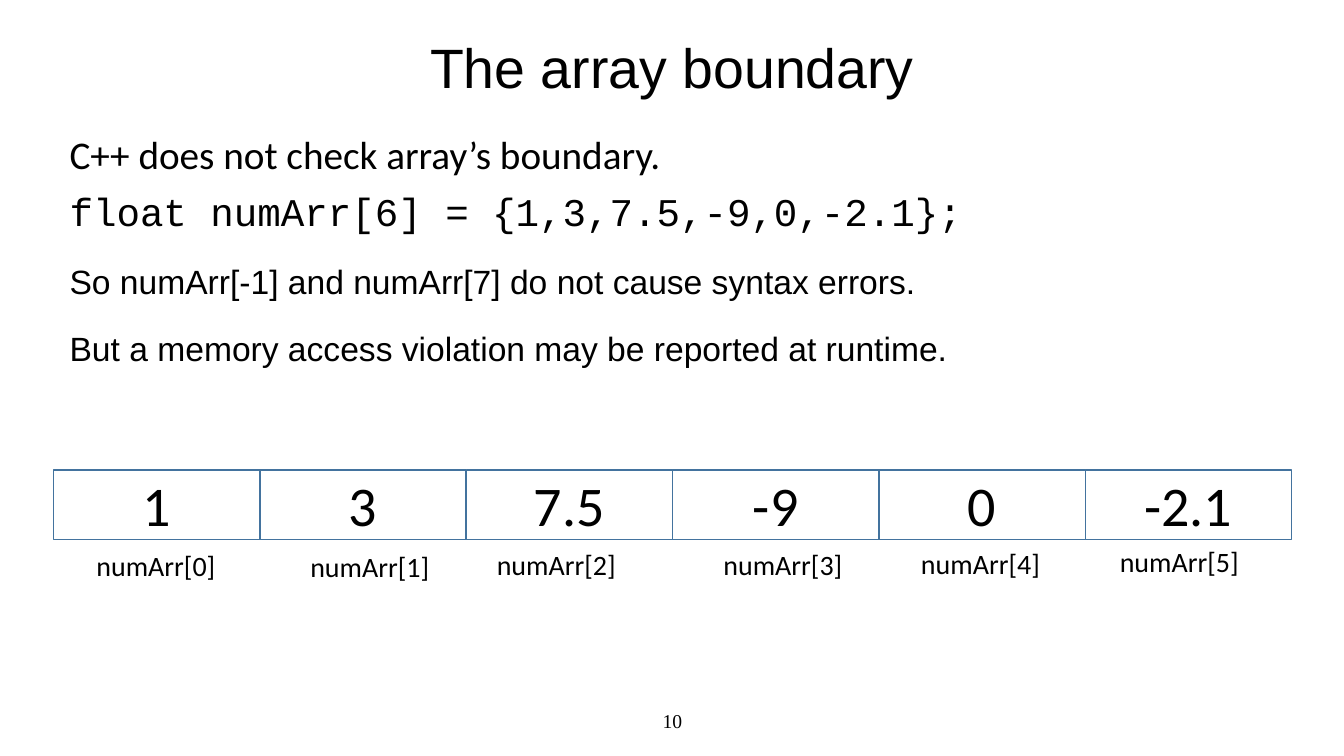
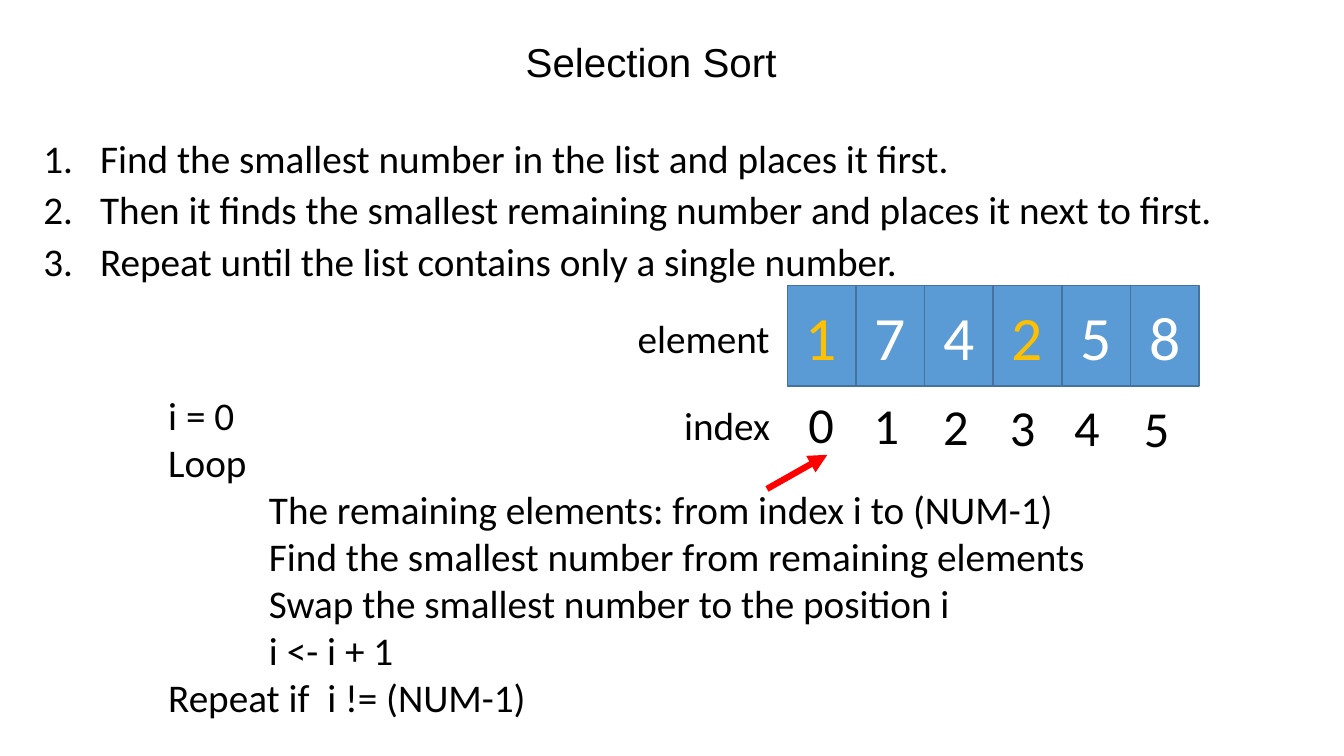
import pptx
import pptx.dml.color
import pptx.enum.shapes
import pptx.enum.text
import pptx.util
from lxml import etree

Cm = pptx.util.Cm
Pt = pptx.util.Pt
ALIGN = pptx.enum.text.PP_ALIGN
ANCHOR = pptx.enum.text.MSO_ANCHOR
RECTANGLE = pptx.enum.shapes.MSO_SHAPE.RECTANGLE
DRAWING = "{http://schemas.openxmlformats.org/drawingml/2006/main}"

BLACK, WHITE, GOLD = "000000", "FFFFFF", "FFC000"
CELL_BLUE, CELL_EDGE, ARROW_RED = "5B9BD5", "43739E", "FF0000"
CENTERED = {"alignment": ALIGN.CENTER}
TITLE = {"alignment": ALIGN.CENTER, "line_spacing": 0.9}


def colour(code):
    return pptx.dml.color.RGBColor.from_string(code)


def write(shape, box, lines, size, font="Calibri", ink=BLACK, anchor=ANCHOR.TOP, layout=None):
    """Place a shape at box (left, top, width, height in cm) and fill it.

    A line is a string, or a (string, overrides) pair where overrides may
    hold size, font and any paragraph attribute.
    """
    for name, length in zip(("left", "top", "width", "height"), box):
        setattr(shape, name, Cm(length))
    frame = shape.text_frame
    frame.word_wrap = True
    frame.auto_size = pptx.enum.text.MSO_AUTO_SIZE.NONE
    frame.vertical_anchor = anchor
    for number, line in enumerate(lines):
        text, overrides = (line, {}) if isinstance(line, str) else line
        paragraph = frame.paragraphs[0] if number == 0 else frame.add_paragraph()
        values = {"size": Pt(size), "name": font, "space_before": Pt(0),
                  **(layout or {}), **overrides}
        if number == 0:
            values["space_before"] = Pt(0)
        run = paragraph.add_run()
        run.text = text
        run.font.color.rgb = colour(ink)
        for name, value in values.items():
            setattr(run.font if name in ("size", "name") else paragraph, name, value)


presentation = pptx.Presentation()
presentation.slide_width = Cm(33.87)
presentation.slide_height = Cm(19.05)
title_and_content = presentation.slide_layouts[1]

# The array boundary
boundary_slide = presentation.slides.add_slide(title_and_content)
shapes = boundary_slide.shapes
write(shapes.title, (0, 0.84, 33.87, 1.85), ["The array boundary"], 39.6, "Arial",
      anchor=ANCHOR.MIDDLE, layout=TITLE)
spaced = {"space_before": Pt(10), "space_after": Pt(12)}
explanation = boundary_slide.placeholders[1]
write(explanation, (1.5, 3.3, 31.06, 11.43), [
    ("C++ does not check array’s boundary.", {"name": "Calibri", "size": Pt(28)}),
    ("float numArr[6] = {1,3,7.5,-9,0,-2.1};",
     {"name": "Courier New", "size": Pt(28), **spaced}),
    ("So numArr[-1] and numArr[7] do not cause syntax errors.", spaced),
    ("But a memory access violation may be reported at runtime.", spaced),
], 24, "Arial", layout={"line_spacing": 0.9})
for paragraph in explanation.text_frame.paragraphs:
    properties = paragraph._p.get_or_add_pPr()
    properties.set("marL", "0")
    properties.set("indent", "0")
    etree.SubElement(properties, DRAWING + "buNone")
write(shapes.add_textbox(0, 0, 0, 0), (11.23, 17.65, 11.43, 1.02), ["10"], 14,
      "Times New Roman", anchor=ANCHOR.MIDDLE, layout=CENTERED)

# Selection sort
sort_slide = presentation.slides.add_slide(title_and_content)
shapes = sort_slide.shapes
write(shapes.title, (4.88, 1.09, 23.06, 1.09), ["Selection Sort"], 28.8, "Arial",
      anchor=ANCHOR.MIDDLE, layout=TITLE)
steps = sort_slide.placeholders[1]
write(steps, (0.84, 3.48, 30.56, 7.26), [
    "Find the smallest number in the list and places it first.",
    "Then it finds the smallest remaining number and places it next to first.",
    "Repeat until the list contains only a single number.",
], 28, layout={"line_spacing": 0.8, "space_before": Pt(10)})
for paragraph in steps.text_frame.paragraphs:
    properties = paragraph._p.get_or_add_pPr()
    properties.set("marL", str(Cm(1.43)))
    properties.set("indent", str(-Cm(1.43)))
    etree.SubElement(properties, DRAWING + "buFont", typeface="Calibri")
    etree.SubElement(properties, DRAWING + "buAutoNum", type="arabicPeriod")

pseudocode = shapes.add_textbox(0, 0, 0, 0)
write(pseudocode, (3.99, 9.73, 24.5, 8.64), [
    "i = 0",
    "Loop",
    "The remaining elements: from index i to (NUM-1)",
    "Find the smallest number from remaining elements",
    "Swap the smallest number to the position i",
    "i <- i + 1",
    "Repeat if  i != (NUM-1)",
], 28)
for paragraph in pseudocode.text_frame.paragraphs[2:6]:
    paragraph._p.get_or_add_pPr().set("marL", str(Cm(2.54)))

for label, left, top, width in (("element", 15.82, 7.8, 4), ("index", 16.99, 9.98, 3)):
    write(shapes.add_textbox(0, 0, 0, 0), (left, top, width, 1.45), [label], 28)

# Array cells with a label under each
arrays = [
    {"slide": boundary_slide, "values": ["1", "3", "7.5", "-9", "0", "-2.1"],
     "cell": (1.35, 11.84, 5.2, 1.75), "fill": WHITE, "ink": BLACK, "size": 40,
     "marked": (), "label": "numArr[{}]", "label_size": 20, "label_box": (4, 1.12),
     "label_lefts": (2.18, 7.57, 12.27, 17.98, 22.96, 27.97),
     "label_tops": (13.69, 13.72, 13.67, 13.67, 13.64, 13.59)},
    {"slide": sort_slide, "values": ["1", "7", "4", "2", "5", "8"],
     "cell": (19.84, 7.19, 1.73, 2.54), "fill": CELL_BLUE, "ink": WHITE, "size": 44,
     "marked": ("1", "2"), "label": "{}", "label_size": 36, "label_box": (1.4, 1.8),
     "label_lefts": (20.12, 21.77, 23.52, 25.2, 26.82, 28.58),
     "label_tops": (9.78, 9.8, 9.83, 9.86, 9.86, 9.88)},
]
for array in arrays:
    shapes = array["slide"].shapes
    left, top, width, height = array["cell"]
    for index, value in enumerate(array["values"]):
        cell = shapes.add_shape(RECTANGLE, 0, 0, 0, 0)
        cell.shadow.inherit = False
        cell.fill.solid()
        cell.fill.fore_color.rgb = colour(array["fill"])
        cell.line.color.rgb = colour(CELL_EDGE)
        cell.line.width = Pt(1)
        write(cell, (left + index * width, top, width, height), [value], array["size"],
              ink=GOLD if value in array["marked"] else array["ink"],
              anchor=ANCHOR.MIDDLE, layout=CENTERED)
        label_place = (array["label_lefts"][index], array["label_tops"][index])
        write(shapes.add_textbox(0, 0, 0, 0), label_place + array["label_box"],
              [array["label"].format(index)], array["label_size"])

index_arrow = sort_slide.shapes.add_connector(
    pptx.enum.shapes.MSO_CONNECTOR.STRAIGHT, Cm(19.33), Cm(12.32), Cm(20.85), Cm(11.46))
index_arrow.line.color.rgb = colour(ARROW_RED)
index_arrow.line.width = Pt(4.5)
etree.SubElement(index_arrow.line._get_or_add_ln(), DRAWING + "tailEnd", type="triangle")
etree.SubElement(index_arrow._element.spPr, DRAWING + "effectLst")

presentation.save("out.pptx")
